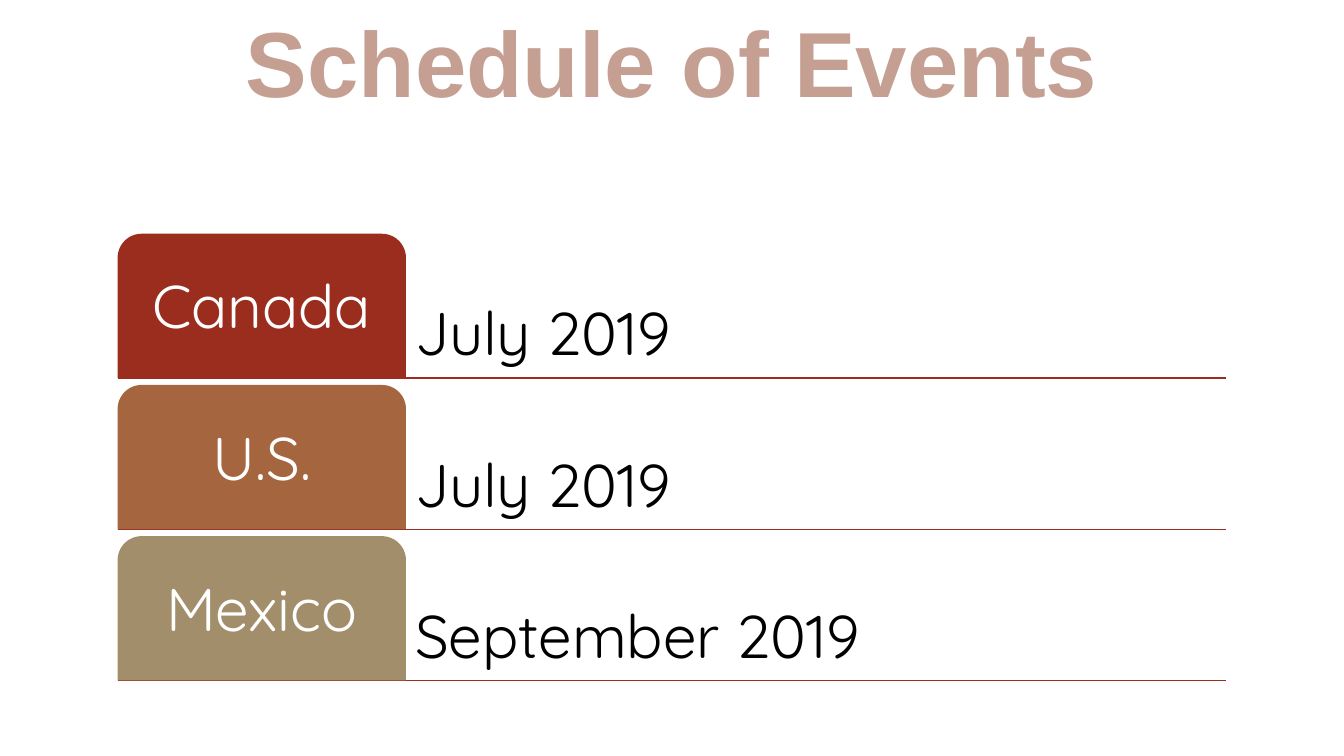
from lxml.etree import SubElement
from pptx import Presentation
from pptx.dml.color import RGBColor
from pptx.enum.shapes import MSO_CONNECTOR as Connector, MSO_SHAPE as Shape
from pptx.enum.text import MSO_ANCHOR as Anchor, MSO_AUTO_SIZE as AutoSize, PP_ALIGN as Align
from pptx.oxml.ns import qn
from pptx.util import Pt

COLORS = {
    "title": "C49F92",
    "rule": "9B2D1F",
    "date": "000000",
    "country": "FFFFFF",
    "red": "9B2D1F",
    "brown": "A4653F",
    "tan": "A28E6A",
}
EVENTS = [
    ("Canada", "July 2019", "red"),
    ("U.S.", "July 2019", "brown"),
    ("Mexico", "September 2019", "tan"),
]
LEFT, RIGHT, FIRST_TOP = 84, 876, 167
TAB_WIDTH, ROW_HEIGHT, ROW_PITCH = 206, 103, 108
INSET = Pt(6.5)
ROW_FRAME = {
    "word_wrap": True,
    "margin_left": INSET,
    "margin_top": INSET,
    "margin_right": INSET,
    "margin_bottom": INSET,
}
TITLE_FRAME = {
    "word_wrap": False,
    "auto_size": AutoSize.SHAPE_TO_FIT_TEXT,
    "vertical_anchor": Anchor.TOP,
}
ROW_FONT = {"name": "Quicksand", "size": Pt(43)}
TITLE_FONT = {"name": "Arial", "size": Pt(66), "bold": True}


def color(name):
    return RGBColor.from_string(COLORS[name])


def apply_format(target, values):
    for name, value in values.items():
        setattr(target, name, value)


def write_text(shape, text, color_name, font, frame, paragraph_format):
    text_frame = shape.text_frame
    apply_format(text_frame, frame)
    paragraph = text_frame.paragraphs[0]
    apply_format(paragraph, paragraph_format)
    run = paragraph.add_run()
    run.text = text
    apply_format(run.font, font)
    run.font.color.rgb = color(color_name)


def add_title(slide, text):
    title = slide.shapes.title
    apply_format(title, {"left": Pt(165), "top": Pt(0), "width": Pt(630), "height": Pt(87)})
    write_text(title, text, "title", TITLE_FONT, TITLE_FRAME, {"alignment": Align.CENTER})


def add_rule(slide, y):
    rule = slide.shapes.add_connector(Connector.STRAIGHT, Pt(LEFT), Pt(y), Pt(RIGHT), Pt(y))
    rule.line.color.rgb = color("rule")
    rule.line.width = Pt(1)
    SubElement(rule._element.spPr, qn("a:effectLst"))


def add_date(slide, text, top):
    left = LEFT + TAB_WIDTH
    box = slide.shapes.add_textbox(Pt(left), Pt(top), Pt(RIGHT - left), Pt(ROW_HEIGHT))
    frame = {**ROW_FRAME, "vertical_anchor": Anchor.BOTTOM}
    write_text(box, text, "date", ROW_FONT, frame, {"line_spacing": 0.9})


def add_country_tab(slide, text, top, fill):
    tab = slide.shapes.add_shape(
        Shape.ROUND_2_SAME_RECTANGLE, Pt(LEFT), Pt(top), Pt(TAB_WIDTH), Pt(ROW_HEIGHT)
    )
    tab.shadow.inherit = False
    tab.fill.solid()
    tab.fill.fore_color.rgb = color(fill)
    tab.line.fill.background()
    frame = {**ROW_FRAME, "vertical_anchor": Anchor.MIDDLE}
    paragraph_format = {"alignment": Align.CENTER, "line_spacing": 0.9}
    write_text(tab, text, "country", ROW_FONT, frame, paragraph_format)


def main():
    presentation = Presentation()
    apply_format(presentation, {"slide_width": Pt(960), "slide_height": Pt(540)})
    slide = presentation.slides.add_slide(presentation.slide_layouts[5])
    add_title(slide, "Schedule of Events")
    for index, (country, date, fill) in enumerate(EVENTS):
        top = FIRST_TOP + index * ROW_PITCH
        add_rule(slide, top + ROW_HEIGHT)
        add_date(slide, date, top)
        add_country_tab(slide, country, top, fill)
    presentation.save("out.pptx")


if __name__ == "__main__":
    main()
